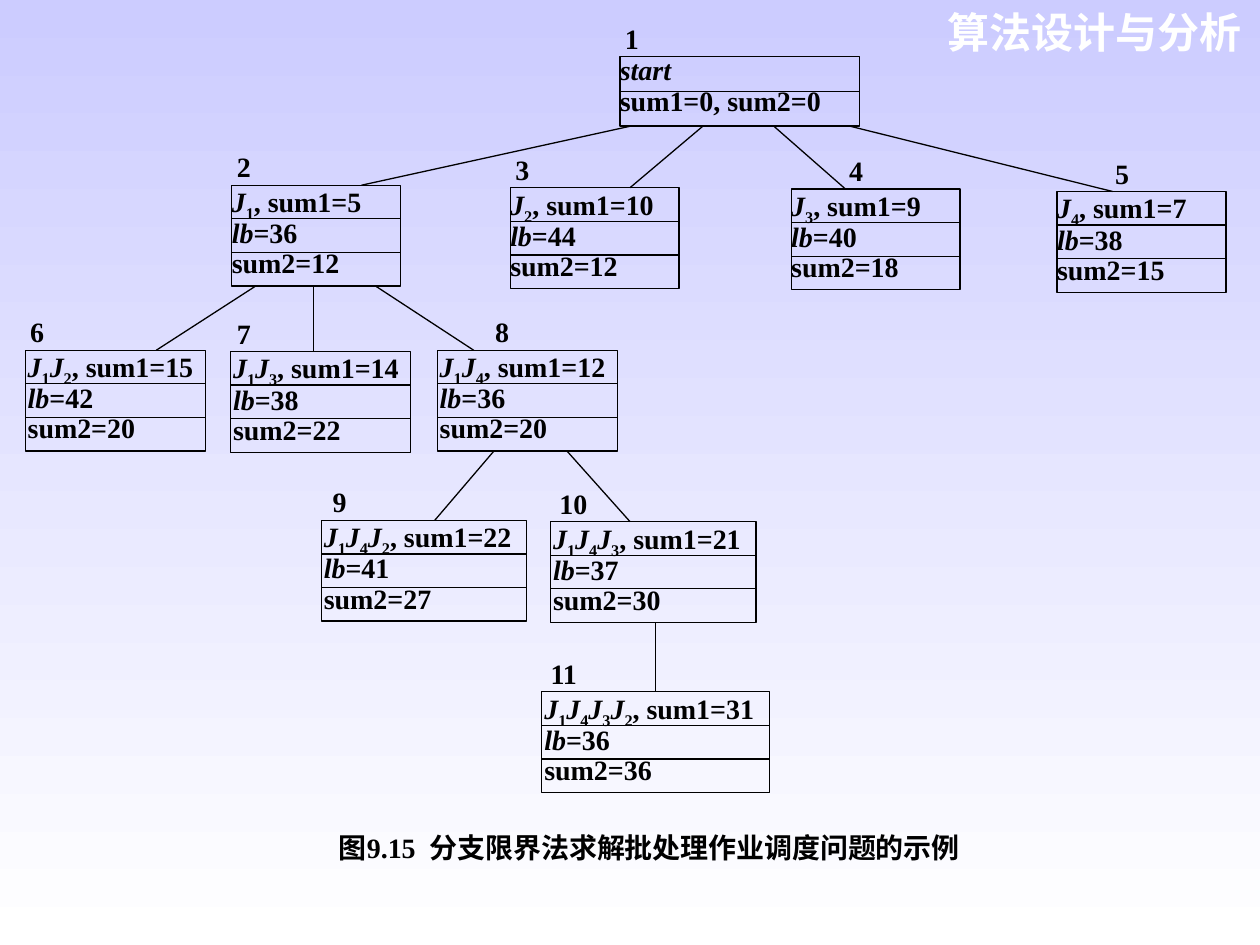
from collections import namedtuple

from lxml.etree import SubElement
from pptx import Presentation
from pptx.dml.color import RGBColor
from pptx.enum.shapes import MSO_CONNECTOR as Connector, MSO_SHAPE as Shape
from pptx.enum.text import MSO_ANCHOR as Anchor, MSO_AUTO_SIZE as AutoSize, PP_ALIGN as Align
from pptx.oxml.ns import qn
from pptx.util import Inches, Pt

COLORS = {"ink": "000000", "header": "FFFFFF", "sky": "CCCCFF", "ground": "FFFFFF"}
LINE_WIDTH = Pt(0.75)
BOUND_HEIGHT = 0.8
LABEL_RISE = 0.25

Node = namedtuple("Node", "left top width height label_dx inset rows")


def color(name):
    return RGBColor.from_string(COLORS[name])


def bound_node(left, top, width, label_dx, jobs, sum1, lb, sum2):
    """Describe a search node; rows hold (text, style) pieces."""
    order = [piece for job in jobs for piece in (("J", "italic"), (job, "sub"))]
    rows = [
        order + [(f", sum1={sum1}", "")],
        [("lb", "italic"), (f"={lb}", "")],
        [(f"sum2={sum2}", "")],
    ]
    inset = 0.02 if len(jobs) > 1 else 0
    return Node(left, top, width, BOUND_HEIGHT, label_dx, inset, rows)


NODES = {
    1: Node(4.92, 0.45, 1.9, 0.55, 0.04, 0,
            [[("start", "italic")], [("sum1=0, sum2=0", "")]]),
    2: bound_node(1.84, 1.47, 1.34, 0.04, "1", 5, 36, 12),
    3: bound_node(4.05, 1.49, 1.34, 0.04, "2", 10, 44, 12),
    4: bound_node(6.28, 1.5, 1.34, 0.46, "3", 9, 40, 18),
    5: bound_node(8.39, 1.52, 1.34, 0.46, "4", 7, 38, 15),
    6: bound_node(0.2, 2.78, 1.43, 0.04, "12", 15, 42, 20),
    7: bound_node(1.83, 2.79, 1.43, 0.05, "13", 14, 38, 22),
    8: bound_node(3.47, 2.78, 1.43, 0.46, "14", 12, 36, 20),
    9: bound_node(2.55, 4.13, 1.63, 0.09, "142", 22, 41, 27),
    10: bound_node(4.37, 4.14, 1.63, 0.07, "143", 21, 37, 30),
    11: bound_node(4.3, 5.49, 1.81, 0.07, "1432", 31, 36, 36),
}

# parent, x where the branch leaves it, child, x where the branch arrives
BRANCHES = [
    (1, 5.01, 2, 2.87), (1, 5.58, 3, 5), (1, 6.14, 4, 6.71), (1, 6.74, 5, 8.83),
    (2, 2.03, 6, 1.24), (2, 2.49, 7, 2.49), (2, 2.98, 8, 3.76),
    (8, 3.92, 9, 3.45), (8, 4.5, 10, 5), (10, 5.2, 11, 5.2),
]


def write_rows(frame, rows, inset=0):
    frame.margin_left = Inches(inset)
    frame.margin_top = frame.margin_right = frame.margin_bottom = 0
    frame.vertical_anchor = Anchor.TOP
    frame.word_wrap = True
    for index, pieces in enumerate(rows):
        paragraph = frame.add_paragraph() if index else frame.paragraphs[0]
        paragraph.alignment = Align.JUSTIFY
        paragraph.line_spacing = 0.9
        font = paragraph.font
        font.name, font.size, font.bold = "Times New Roman", Pt(16), True
        font.color.rgb = color("ink")
        for text, style in pieces:
            run = paragraph.add_run()
            run.text = text
            if style == "italic":
                run.font.italic = True
            elif style == "sub":
                run._r.get_or_add_rPr().set("baseline", "-25000")


def add_text(slide, left, top, width, height, text):
    box = slide.shapes.add_textbox(*map(Inches, (left, top, width, height)))
    write_rows(box.text_frame, [[(text, "")]])


def add_line(slide, x1, y1, x2, y2):
    line = slide.shapes.add_connector(Connector.STRAIGHT, *map(Inches, (x1, y1, x2, y2)))
    line.line.color.rgb = color("ink")
    line.line.width = LINE_WIDTH
    SubElement(line._element.spPr, qn("a:effectLst"))


def add_node(slide, number, node):
    """Draw a numbered box with a divider between its rows."""
    add_text(slide, node.left + node.label_dx, node.top - LABEL_RISE, 0.24, 0.23, str(number))
    frame = slide.shapes.add_shape(
        Shape.RECTANGLE, *map(Inches, (node.left, node.top, node.width, node.height)))
    frame.shadow.inherit = False
    frame.fill.background()
    frame.line.color.rgb = color("ink")
    frame.line.width = LINE_WIDTH
    write_rows(frame.text_frame, node.rows, node.inset)
    row_height = node.height / len(node.rows)
    for row in range(1, len(node.rows)):
        y = node.top + row * row_height
        add_line(slide, node.left, y, node.left + node.width, y)


def add_tree(slide):
    for number, node in NODES.items():
        add_node(slide, number, node)
    for parent, start_x, child, end_x in BRANCHES:
        bottom = NODES[parent].top + NODES[parent].height
        add_line(slide, start_x, bottom, end_x, NODES[child].top)


def set_header(slide, left, top, width, height):
    title = slide.shapes.title
    title.left, title.top, title.width, title.height = map(Inches, (left, top, width, height))
    frame = title.text_frame
    frame.text = "算法设计与分析"
    frame.auto_size = AutoSize.NONE
    frame.vertical_anchor = Anchor.MIDDLE
    paragraph = frame.paragraphs[0]
    paragraph.alignment = Align.RIGHT
    font = paragraph.font
    font.name, font.size, font.bold = "Arial", Pt(24), True
    font.color.rgb = color("header")


def set_background(slide):
    fill = slide.background.fill
    fill.gradient()
    fill.gradient_angle = 270
    for stop, position, name in zip(fill.gradient_stops, (0, 1), ("sky", "ground")):
        stop.position = position
        stop.color.rgb = color(name)


def main():
    deck = Presentation()
    deck.slide_width, deck.slide_height = Inches(10), Inches(7.5)
    slide = deck.slides.add_slide(deck.slide_layouts[5])
    set_background(slide)
    set_header(slide, 7.24, 0, 2.71, 0.5)
    add_tree(slide)
    add_text(slide, 2.69, 6.62, 5.53, 0.28, "图9.15  分支限界法求解批处理作业调度问题的示例")
    deck.save("out.pptx")


if __name__ == "__main__":
    main()
